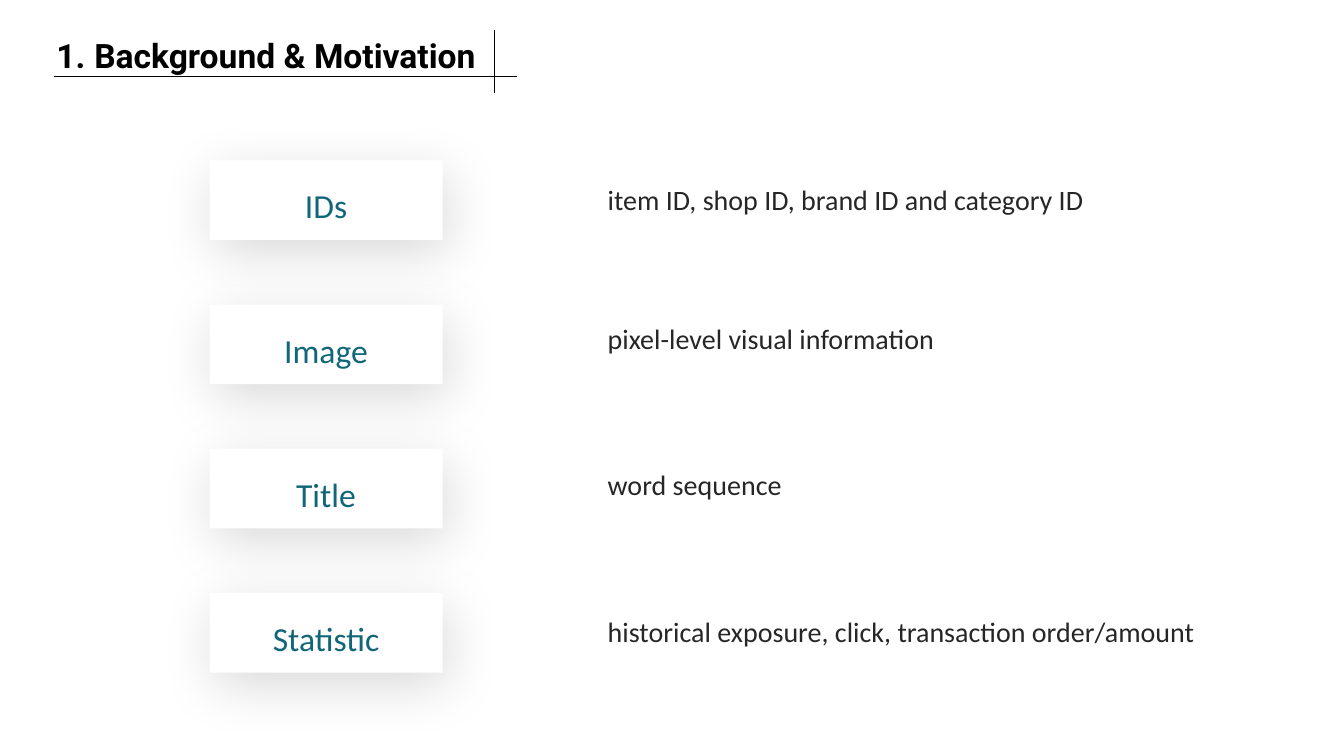
from lxml.etree import SubElement
from pptx import Presentation
from pptx.dml.color import RGBColor
from pptx.enum.shapes import MSO_CONNECTOR, MSO_SHAPE
from pptx.enum.text import MSO_ANCHOR, MSO_AUTO_SIZE, PP_ALIGN
from pptx.oxml.ns import qn
from pptx.util import Pt

TITLE = "Background & Motivation"
# label, description, top of the description
ROWS = [
    ("IDs", "item ID, shop ID, brand ID and category ID", 126.7),
    ("Image", "pixel-level visual information", 226.1),
    ("Title", "word sequence", 330.5),
    ("Statistic", "historical exposure, click, transaction order/amount", 435.6),
]
RULES = [(38.9, 54.7, 369.4, 54.7), (353.5, 21.6, 353.5, 66.2)]
CARD = (149.8, 114.5, 166.3, 56.9)
LABEL = (163.4, 123.1, 139, 39.6)
STEP = 103
NOTE_X, NOTE_W, NOTE_H = 427, 434.2, 31.7
BLACK, WHITE, TEAL, GREY = "000000", "FFFFFF", "116779", "262626"


def color(code):
    return RGBColor.from_string(code)


def pts(*nums):
    return [Pt(n) for n in nums]


def write(shape, text, size, font, code, bold=False, align=PP_ALIGN.LEFT):
    frame = shape.text_frame
    frame.word_wrap = True
    frame.auto_size = MSO_AUTO_SIZE.SHAPE_TO_FIT_TEXT
    frame.vertical_anchor = MSO_ANCHOR.TOP
    para = frame.paragraphs[0]
    para.alignment = align
    run = para.add_run()
    run.text = text
    run.font.size = Pt(size)
    run.font.name = font
    run.font.bold = bold
    run.font.color.rgb = color(code)
    return para


def number(para, indent):
    """Give the paragraph an automatic number with a hanging indent."""
    props = para._p.get_or_add_pPr()
    props.set("marL", str(Pt(indent)))
    props.set("indent", str(-Pt(indent)))
    SubElement(props, qn("a:buFont"), typeface="+mj-lt")
    SubElement(props, qn("a:buAutoNum"), type="arabicPeriod")


def shade(shape):
    """Add a soft, wide shadow below the shape."""
    effects = SubElement(shape._element.spPr, qn("a:effectLst"))
    outer = SubElement(effects, qn("a:outerShdw"), blurRad=str(Pt(40)),
                       dist=str(Pt(10)), dir=str(70 * 60000),
                       algn="ctr", rotWithShape="0")
    tint = SubElement(outer, qn("a:srgbClr"), val=BLACK)
    SubElement(tint, qn("a:alpha"), val="15000")


def add_box(group, place, drop):
    left, top, width, height = place
    box = group.shapes.add_shape(MSO_SHAPE.RECTANGLE,
                                 *pts(left, top + drop, width, height))
    box.fill.solid()
    box.fill.fore_color.rgb = color(WHITE)
    box.line.fill.background()
    return box


def add_rule(slide, ends):
    line = slide.shapes.add_connector(MSO_CONNECTOR.STRAIGHT, *pts(*ends))
    line.line.color.rgb = color(BLACK)
    line.line.width = Pt(0.75)
    SubElement(line._element.spPr, qn("a:effectLst"))


def add_row(slide, index, label, note, top):
    group = slide.shapes.add_group_shape()
    shade(add_box(group, CARD, index * STEP))
    inner = add_box(group, LABEL, index * STEP)
    inner.shadow.inherit = False
    para = write(inner, label, 24, "Calibri", TEAL, align=PP_ALIGN.CENTER)
    para.line_spacing = 1.2
    text = slide.shapes.add_textbox(*pts(NOTE_X, top, NOTE_W, NOTE_H))
    write(text, note, 20, "Calibri", GREY)


def main():
    deck = Presentation()
    deck.slide_width, deck.slide_height = pts(960, 540)
    slide = deck.slides.add_slide(deck.slide_layouts[5])
    title = slide.shapes.title
    title.left, title.top, title.width, title.height = pts(33.1, 21.6, 324, 36)
    number(write(title, TITLE, 24, "Roboto", BLACK, bold=True), 27)
    for ends in RULES:
        add_rule(slide, ends)
    for index, row in enumerate(ROWS):
        add_row(slide, index, *row)
    deck.save("out.pptx")


if __name__ == "__main__":
    main()
